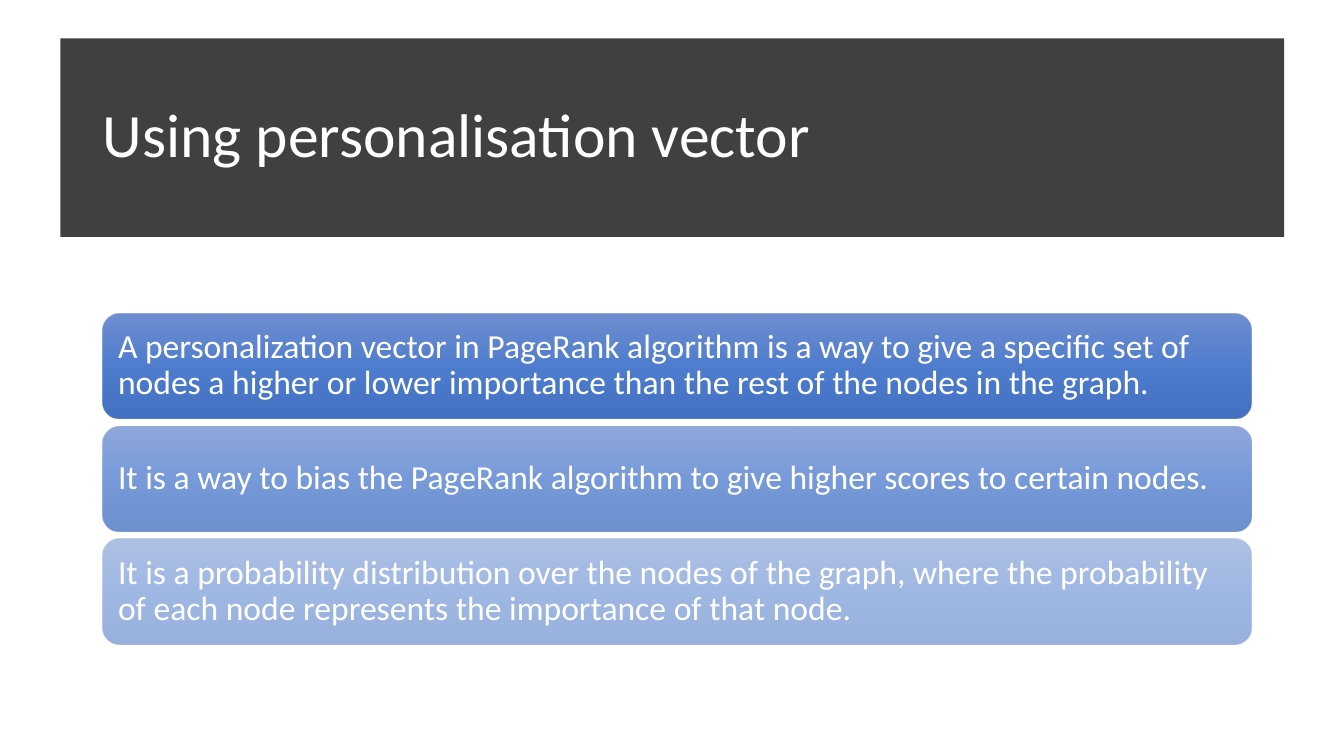
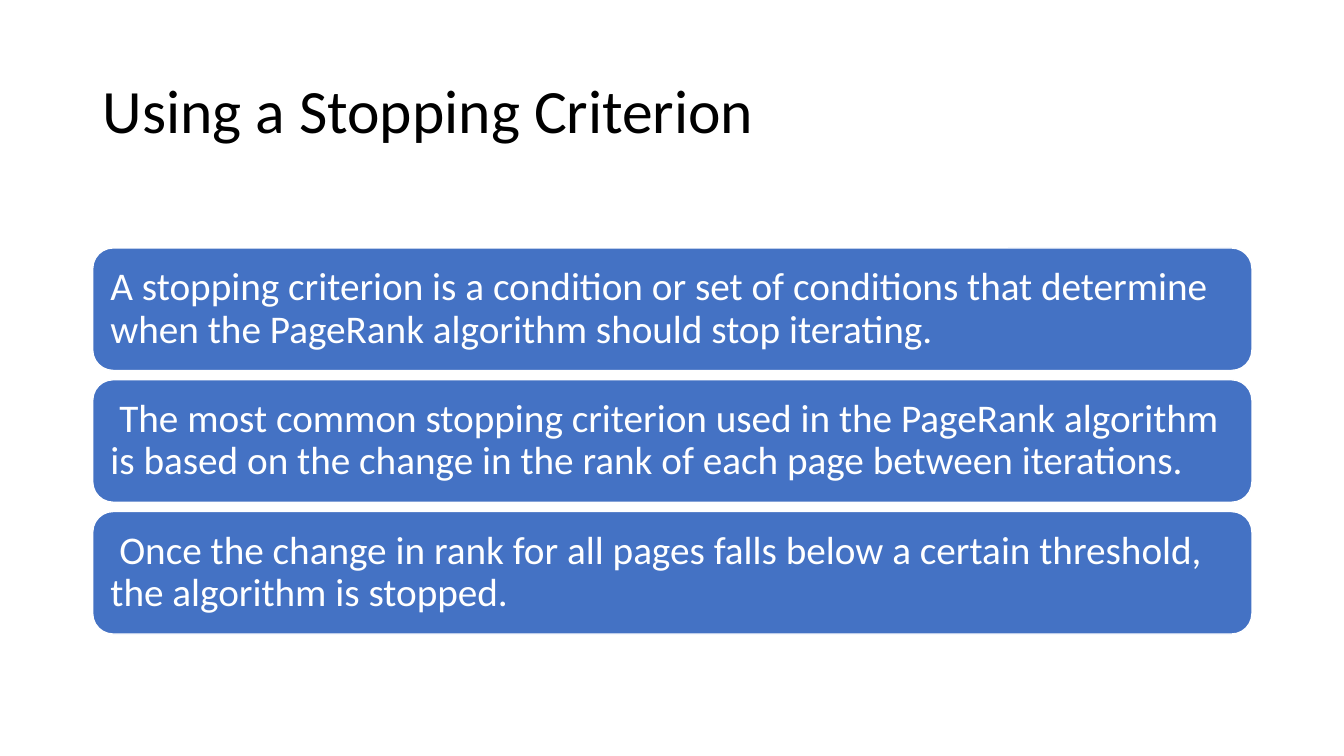
from collections import namedtuple
from dataclasses import dataclass

from lxml import etree
from pptx import Presentation
from pptx.dml.color import RGBColor
from pptx.enum.shapes import MSO_SHAPE
from pptx.enum.text import MSO_ANCHOR, MSO_AUTO_SIZE, PP_ALIGN
from pptx.oxml.ns import qn
from pptx.util import Inches, Pt

RECTANGLE, ROUNDED = MSO_SHAPE.RECTANGLE, MSO_SHAPE.ROUNDED_RECTANGLE
MIDDLE, LEFT, NO_AUTOFIT = MSO_ANCHOR.MIDDLE, PP_ALIGN.LEFT, MSO_AUTO_SIZE.NONE
TITLE_ONLY = 5
DOWNWARD = 270

SLIDE_WIDTH, SLIDE_HEIGHT = Inches(13.33), Inches(7.5)
Box = namedtuple("Box", "left top width height")


@dataclass(frozen=True)
class Theme:
    font: str = "Calibri"
    white: str = "FFFFFF"
    black: str = "000000"
    band: str = "404040"
    card: str = "4472C4"
    gradient: tuple = ("6183CB", "3E70CA", "3062BB")
    fading: tuple = (90, 70, 50)      # opacity of successive cards, percent
    title_size: int = 44
    small_text: int = 24
    large_text: int = 28
    line_spacing: float = 0.9
    card_gap: float = 0.024           # share of the stack's height
    card_inset: float = 0.3           # share of the type size


THEME = Theme()


def area(left, top, width, height):
    """Turn percentages of the slide into a box."""
    return Box(int(SLIDE_WIDTH * left / 100), int(SLIDE_HEIGHT * top / 100),
               int(SLIDE_WIDTH * width / 100), int(SLIDE_HEIGHT * height / 100))


BAND = area(4.5, 5.07, 91.05, 26.27)
BAND_TITLE = area(6.9, 8.53, 86.25, 19.33)
PLAIN_TITLE = area(6.9, 5.33, 86.25, 19.33)
FADING_STACK = area(7.65, 41.47, 85.43, 43.73)
SOLID_STACK = area(6.9, 32.8, 86.25, 51.07)


def color(code):
    return RGBColor.from_string(code)


def write(frame, text, size, ink):
    frame.text = text
    frame.word_wrap = True
    frame.auto_size = NO_AUTOFIT
    frame.vertical_anchor = MIDDLE
    para = frame.paragraphs[0]
    para.alignment = LEFT
    para.line_spacing = THEME.line_spacing
    para.font.name = THEME.font
    para.font.size = Pt(size)
    para.font.color.rgb = color(ink)


def add_title(page, box, text, ink):
    title = page.shapes.title
    title.left, title.top, title.width, title.height = box
    write(title.text_frame, text, THEME.title_size, ink)


def add_band(page, box):
    band = page.shapes.add_shape(RECTANGLE, *box)
    band.shadow.inherit = False
    band.fill.solid()
    band.fill.fore_color.rgb = color(THEME.band)
    band.line.fill.background()
    # Place the band behind the title
    page.shapes.title._element.addprevious(band._element)


def fill_fading(card, opacity):
    card.fill.gradient()
    card.fill.gradient_angle = DOWNWARD
    stops = card._element.spPr.find(".//" + qn("a:gsLst"))
    for old_stop in list(stops):
        stops.remove(old_stop)
    for index, code in enumerate(THEME.gradient):
        stop = etree.SubElement(stops, qn("a:gs"), pos=str(index * 50000))
        tint = etree.SubElement(stop, qn("a:srgbClr"), val=code)
        etree.SubElement(tint, qn("a:alpha"), val=str(opacity * 1000))
    card.line.fill.background()


def fill_solid(card):
    card.fill.solid()
    card.fill.fore_color.rgb = color(THEME.card)
    card.line.color.rgb = color(THEME.white)
    card.line.width = Pt(1)


def add_cards(page, box, texts, size):
    """Stack equal cards in the box and return them."""
    gap = box.height * THEME.card_gap
    height = (box.height - gap * (len(texts) - 1)) / len(texts)
    cards = []
    for row, text in enumerate(texts):
        top = int(box.top + row * (height + gap))
        card = page.shapes.add_shape(ROUNDED, box.left, top, box.width, int(height))
        card.shadow.inherit = False
        frame = card.text_frame
        write(frame, text, size, THEME.white)
        inset = Pt(size * THEME.card_inset)
        frame.margin_left = frame.margin_right = inset
        frame.margin_top = frame.margin_bottom = inset
        cards.append(card)
    return cards


def add_band_slide(deck, title, texts):
    page = deck.slides.add_slide(deck.slide_layouts[TITLE_ONLY])
    add_title(page, BAND_TITLE, title, THEME.white)
    add_band(page, BAND)
    cards = add_cards(page, FADING_STACK, texts, THEME.small_text)
    for card, opacity in zip(cards, THEME.fading):
        fill_fading(card, opacity)


def add_plain_slide(deck, title, texts):
    page = deck.slides.add_slide(deck.slide_layouts[TITLE_ONLY])
    add_title(page, PLAIN_TITLE, title, THEME.black)
    for card in add_cards(page, SOLID_STACK, texts, THEME.large_text):
        fill_solid(card)


def main():
    deck = Presentation()
    deck.slide_width, deck.slide_height = SLIDE_WIDTH, SLIDE_HEIGHT
    add_band_slide(deck, "Using personalisation vector", [
        "A personalization vector in PageRank algorithm is a way to give a specific set of "
        "nodes a higher or lower importance than the rest of the nodes in the graph.",
        "It is a way to bias the PageRank algorithm to give higher scores to certain nodes.",
        "It is a probability distribution over the nodes of the graph, where the probability "
        "of each node represents the importance of that node.",
    ])
    add_plain_slide(deck, "Using a Stopping Criterion", [
        "A stopping criterion is a condition or set of conditions that determine "
        "when the PageRank algorithm should stop iterating.",
        " The most common stopping criterion used in the PageRank algorithm "
        "is based on the change in the rank of each page between iterations.",
        " Once the change in rank for all pages falls below a certain threshold, "
        "the algorithm is stopped.",
    ])
    deck.save("out.pptx")


if __name__ == "__main__":
    main()
